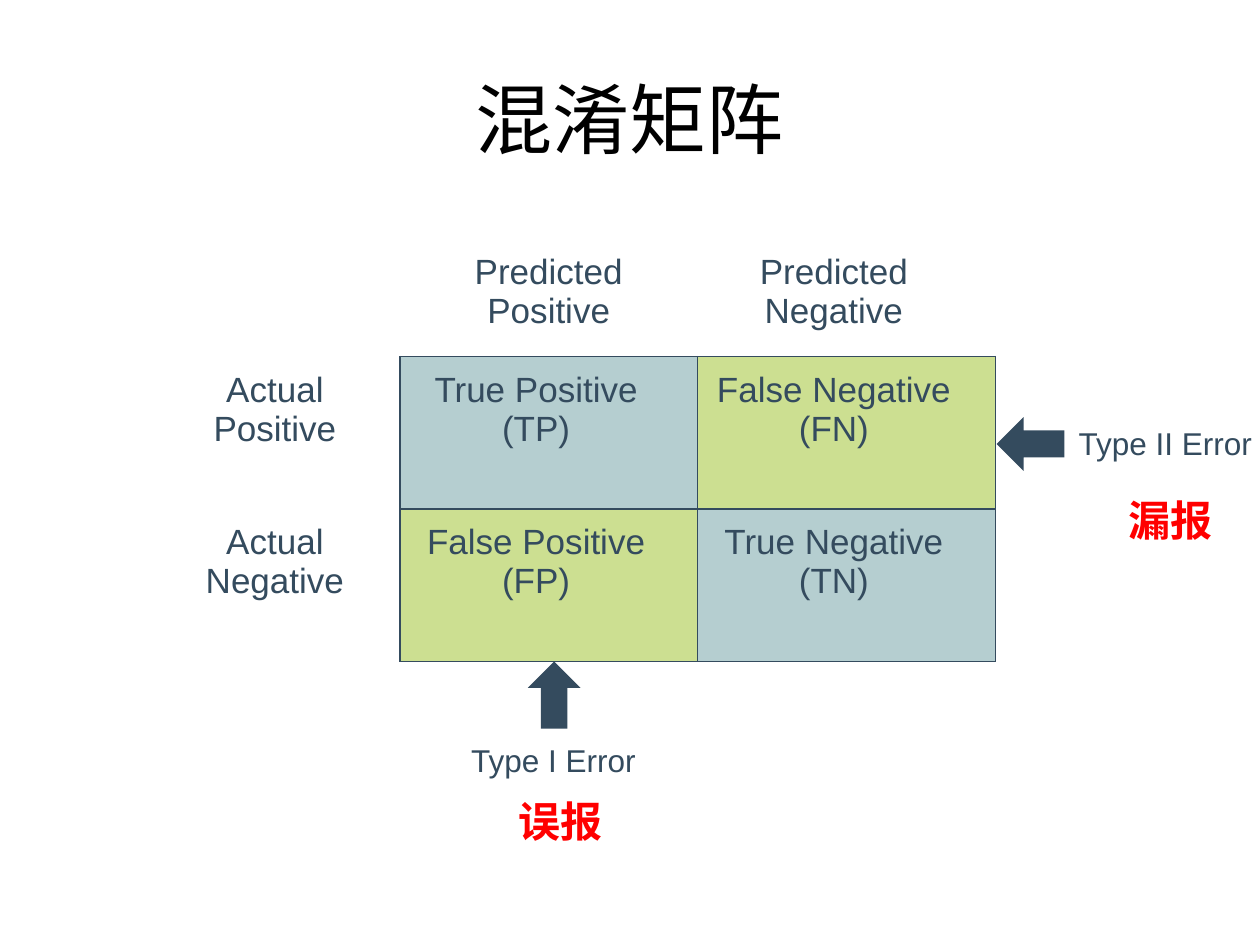
from dataclasses import dataclass

from lxml import etree
from pptx import Presentation
from pptx.dml.color import RGBColor
from pptx.enum.shapes import MSO_SHAPE
from pptx.enum.text import MSO_ANCHOR, PP_ALIGN
from pptx.oxml.ns import qn
from pptx.util import Inches, Pt

UP_ARROW, LEFT_ARROW = MSO_SHAPE.UP_ARROW, MSO_SHAPE.LEFT_ARROW
MIDDLE, TOP = MSO_ANCHOR.MIDDLE, MSO_ANCHOR.TOP
CENTER, LEFT = PP_ALIGN.CENTER, PP_ALIGN.LEFT


@dataclass(frozen=True)
class Theme:
    """Colours, fonts and type sizes of the slide."""
    ink: str = "344B5E"
    paper: str = "FFFFFF"
    title: str = "000000"
    alert: str = "FF0000"
    correct: str = "B5CED0"
    wrong: str = "CCDF91"
    latin: str = "Arial"
    heading: str = "Calibri"
    title_size: int = 44
    alert_size: int = 24
    cell_size: int = 20
    label_size: int = 18


THEME = Theme()


@dataclass(frozen=True)
class Box:
    """A rectangle in inches."""
    left: float
    top: float
    width: float
    height: float

    def area(self, left, top, width, height):
        """Return the box that covers the given shares of this one."""
        return Box(self.left + left * self.width, self.top + top * self.height,
                   width * self.width, height * self.height)

    def lengths(self):
        """Return the four lengths for a shape call."""
        return [Inches(n) for n in (self.left, self.top, self.width, self.height)]


PAGE = Box(0, 0, 10, 7.5)
COLUMNS = (0.274, 0.363, 0.363)
ROWS = (0.278, 0.361, 0.361)
MATRIX = (
    (None, ("Predicted", "Positive"), ("Predicted", "Negative")),
    (("Actual", "Positive"), ("True Positive", "(TP)"), ("False Negative", "(FN)")),
    (("Actual", "Negative"), ("False Positive", "(FP)"), ("True Negative", "(TN)")),
)


def style(para, size, color, font, bold=False, align=LEFT):
    """Set the look of one paragraph."""
    para.alignment = align
    para.font.size = Pt(size)
    para.font.name = font
    para.font.bold = bold
    para.font.color.rgb = RGBColor.from_string(color)


def add_text(page, box, text, size, color, font, bold=False, align=LEFT,
             anchor=TOP, inset=(0.1, 0.05)):
    """Add one line of text in a box."""
    frame = page.shapes.add_textbox(*box.lengths()).text_frame
    frame.word_wrap = True
    frame.vertical_anchor = anchor
    frame.margin_left = frame.margin_right = Inches(inset[0])
    frame.margin_top = frame.margin_bottom = Inches(inset[1])
    para = frame.paragraphs[0]
    para.text = text
    style(para, size, color, font, bold, align)


def is_outcome(row, column):
    """Tell whether a cell is one of the four outcomes."""
    return 0 < row < len(ROWS) and 0 < column < len(COLUMNS)


def draw_borders(cell, row, column):
    """Draw ink on edges that touch an outcome and paper on the others."""
    neighbours = {"a:lnL": (row, column - 1), "a:lnR": (row, column + 1),
                  "a:lnT": (row - 1, column), "a:lnB": (row + 1, column)}
    properties = cell._tc.get_or_add_tcPr()
    for tag, neighbour in neighbours.items():
        inked = is_outcome(row, column) or is_outcome(*neighbour)
        line = etree.SubElement(properties, qn(tag), w=str(Pt(1)))
        fill = etree.SubElement(line, qn("a:solidFill"))
        etree.SubElement(fill, qn("a:srgbClr"), val=THEME.ink if inked else THEME.paper)


def fill_cell(cell, row, column):
    """Write and colour one cell of the matrix."""
    draw_borders(cell, row, column)
    if is_outcome(row, column):
        cell.fill.solid()
        color = THEME.correct if row == column else THEME.wrong
        cell.fill.fore_color.rgb = RGBColor.from_string(color)
    else:
        cell.fill.background()
    cell.margin_left = cell.margin_bottom = 0
    cell.margin_top = Inches(0.11)
    cell.margin_right = 0 if (row, column) == (0, 1) else Inches(0.2)
    lines = MATRIX[row][column]
    if lines:
        cell.text = "\n".join(lines)
        for para in cell.text_frame.paragraphs:
            style(para, THEME.cell_size, THEME.ink, THEME.latin, align=CENTER)


def add_matrix(page, box):
    """Add the confusion matrix as a table."""
    table = page.shapes.add_table(len(ROWS), len(COLUMNS), *box.lengths()).table
    table.first_row = table.horz_banding = False
    for column, share in zip(table.columns, COLUMNS):
        column.width = Inches(box.width * share)
    for row, share in zip(table.rows, ROWS):
        row.height = Inches(box.height * share)
    for row in range(len(ROWS)):
        for column in range(len(COLUMNS)):
            fill_cell(table.cell(row, column), row, column)


def add_error(page, box, kind, arrow_area, label, label_area, name, name_area):
    """Add an arrow, the error type and its Chinese name."""
    arrow = page.shapes.add_shape(kind, *box.area(*arrow_area).lengths())
    arrow.shadow.inherit = False
    arrow.fill.solid()
    arrow.fill.fore_color.rgb = RGBColor.from_string(THEME.ink)
    arrow.line.fill.background()
    add_text(page, box.area(*label_area), label, THEME.label_size, THEME.ink,
             THEME.latin, inset=(0.01, 0.02))
    add_text(page, box.area(*name_area), name, THEME.alert_size, THEME.alert,
             THEME.heading, bold=True)


def main():
    """Build the slide and save it."""
    deck = Presentation()
    deck.slide_width, deck.slide_height = Inches(PAGE.width), Inches(PAGE.height)
    page = deck.slides.add_slide(deck.slide_layouts[6])
    add_matrix(page, Box(1.39, 1.9, 6.51, 3.35))
    add_error(page, Box(3.73, 5.25, 1.35, 1.52),
              UP_ARROW, (0.34, 0, 0.31, 0.35),
              "Type I Error", (0, 0.4, 1, 0.22),
              "误报", (0.21, 0.67, 0.69, 0.33))
    add_error(page, Box(7.91, 3.31, 2.07, 1.07),
              LEFT_ARROW, (0, 0, 0.26, 0.4),
              "Type II Error", (0.31, 0.03, 0.69, 0.31),
              "漏报", (0.46, 0.53, 0.48, 0.47))
    add_text(page, PAGE.area(0.05, 0.04, 0.9, 0.17), "混淆矩阵", THEME.title_size,
             THEME.title, THEME.heading, align=CENTER, anchor=MIDDLE)
    deck.save("out.pptx")


if __name__ == "__main__":
    main()
